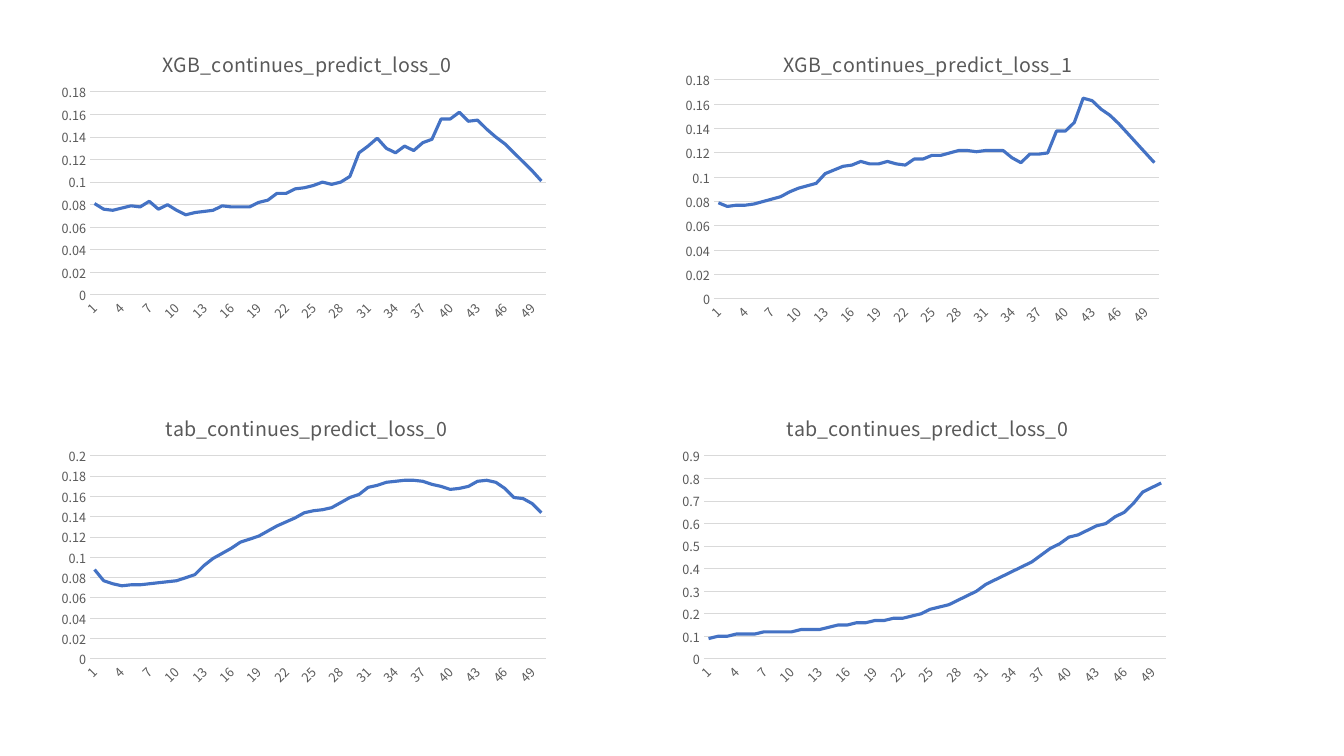
from pptx import Presentation
from pptx.chart.data import CategoryChartData
from pptx.dml.color import RGBColor
from pptx.enum.chart import XL_CHART_TYPE, XL_TICK_MARK
from pptx.oxml import parse_xml
from pptx.oxml.ns import nsdecls
from pptx.util import Pt

PIXEL = 914400 / 100.8
FONT = "Noto Sans CJK SC"
LOSS_BLUE = RGBColor(0x44, 0x72, 0xC4)
TEXT_GREY = RGBColor(0x59, 0x59, 0x59)
GRID_GREY = RGBColor(0xD9, 0xD9, 0xD9)
CHART_WIDTH, CHART_HEIGHT = 504, 302
TITLE_TOP = 19

XGB_LOSS_0 = [
    0.081, 0.076, 0.075, 0.077, 0.079, 0.078, 0.083, 0.076, 0.08, 0.075,
    0.071, 0.073, 0.074, 0.075, 0.079, 0.078, 0.078, 0.078, 0.082, 0.084,
    0.09, 0.09, 0.094, 0.095, 0.097, 0.1, 0.098, 0.1, 0.105, 0.126,
    0.132, 0.139, 0.13, 0.126, 0.132, 0.128, 0.135, 0.138, 0.156, 0.156,
    0.162, 0.154, 0.155, 0.147, 0.14, 0.134, 0.126, 0.118, 0.11, 0.101]
XGB_LOSS_1 = [
    0.079, 0.076, 0.077, 0.077, 0.078, 0.08, 0.082, 0.084, 0.088, 0.091,
    0.093, 0.095, 0.103, 0.106, 0.109, 0.11, 0.113, 0.111, 0.111, 0.113,
    0.111, 0.11, 0.115, 0.115, 0.118, 0.118, 0.12, 0.122, 0.122, 0.121,
    0.122, 0.122, 0.122, 0.116, 0.112, 0.119, 0.119, 0.12, 0.138, 0.138,
    0.145, 0.165, 0.163, 0.156, 0.151, 0.144, 0.136, 0.128, 0.12, 0.112]
TAB_LOSS_0 = [
    0.088, 0.077, 0.074, 0.072, 0.073, 0.073, 0.074, 0.075, 0.076, 0.077,
    0.08, 0.083, 0.092, 0.099, 0.104, 0.109, 0.115, 0.118, 0.121, 0.126,
    0.131, 0.135, 0.139, 0.144, 0.146, 0.147, 0.149, 0.154, 0.159, 0.162,
    0.169, 0.171, 0.174, 0.175, 0.176, 0.176, 0.175, 0.172, 0.17, 0.167,
    0.168, 0.17, 0.175, 0.176, 0.174, 0.168, 0.159, 0.158, 0.153, 0.144]
TAB_LOSS_RISING = [
    0.09, 0.1, 0.1, 0.11, 0.11, 0.11, 0.12, 0.12, 0.12, 0.12,
    0.13, 0.13, 0.13, 0.14, 0.15, 0.15, 0.16, 0.16, 0.17, 0.17,
    0.18, 0.18, 0.19, 0.2, 0.22, 0.23, 0.24, 0.26, 0.28, 0.3,
    0.33, 0.35, 0.37, 0.39, 0.41, 0.43, 0.46, 0.49, 0.51, 0.54,
    0.55, 0.57, 0.59, 0.6, 0.63, 0.65, 0.69, 0.74, 0.76, 0.78]


def px(length):
    return round(length * PIXEL)


def style_font(font, size):
    font.name, font.size, font.bold = FONT, Pt(size), False
    font.color.rgb = TEXT_GREY


def style_line(line, color, width):
    line.color.rgb = color
    line.width = Pt(width)


def manual_layout(left, top, width=None, height=None):
    """Layout in pixels from the chart corner; with a size it is the inner plot."""
    parts = [("xMode", "edge"), ("yMode", "edge"),
             ("x", left / CHART_WIDTH), ("y", top / CHART_HEIGHT)]
    if width:
        parts.insert(0, ("layoutTarget", "inner"))
        parts += [("w", width / CHART_WIDTH), ("h", height / CHART_HEIGHT)]
    body = "".join(f'<c:{tag} val="{value}"/>' for tag, value in parts)
    return parse_xml(f'<c:layout {nsdecls("c")}><c:manualLayout>{body}'
                     '</c:manualLayout></c:layout>')


def set_layout(element, layout, index):
    for previous in element.findall(layout.tag):
        element.remove(previous)
    element.insert(index, layout)


def add_loss_chart(slide, left, top, title, title_left, losses, plot, maximum, step):
    chart_data = CategoryChartData()
    chart_data.categories = [str(number) for number in range(1, len(losses) + 1)]
    chart_data.add_series("Series 1", losses)
    chart = slide.shapes.add_chart(
        XL_CHART_TYPE.LINE, px(left), px(top), px(CHART_WIDTH), px(CHART_HEIGHT),
        chart_data).chart
    chart.has_legend = False
    style_font(chart.font, 10)

    # Title
    chart.has_title = True
    heading = chart.chart_title.text_frame.paragraphs[0]
    heading.text = title
    style_font(heading.font, 14)
    set_layout(chart.chart_title._element, manual_layout(title_left, TITLE_TOP), 1)
    chart.chart_title.include_in_layout = False

    # Plot and loss curve
    set_layout(chart._chartSpace.chart.plotArea, manual_layout(*plot), 0)
    chart.plots[0].vary_by_categories = False
    curve = chart.plots[0].series[0]
    curve.smooth = False
    style_line(curve.format.line, LOSS_BLUE, 2.25)

    # Axes
    steps, loss_axis = chart.category_axis, chart.value_axis
    for axis in (steps, loss_axis):
        axis.major_tick_mark = axis.minor_tick_mark = XL_TICK_MARK.NONE
        style_font(axis.tick_labels.font, 9)
    style_line(steps.format.line, GRID_GREY, 0.75)
    steps._element.txPr.bodyPr.set("rot", "-60000000")
    loss_axis.format.line.fill.background()
    style_line(loss_axis.major_gridlines.format.line, GRID_GREY, 0.75)
    loss_axis.minimum_scale, loss_axis.maximum_scale = 0, maximum
    loss_axis.major_unit = step
    loss_axis.tick_labels.number_format = "General"
    loss_axis.tick_labels.number_format_is_linked = False


def build_loss_slide(slide, left, top):
    right, lower = left + 621, top + 364
    wide_plot = (39, 67, 456, 203)
    add_loss_chart(slide, left, top, "XGB_continues_predict_loss_0", 108,
                   XGB_LOSS_0, wide_plot, 0.18, 0.02)
    add_loss_chart(slide, right, top, "XGB_continues_predict_loss_1", 108,
                   XGB_LOSS_1, (42, 55, 445, 219), 0.18, 0.02)
    add_loss_chart(slide, left, lower, "tab_continues_predict_loss_0", 111,
                   TAB_LOSS_0, wide_plot, 0.2, 0.02)
    add_loss_chart(slide, right, lower, "tab_continues_predict_loss_0", 111,
                   TAB_LOSS_RISING, (32, 67, 462, 203), 0.9, 0.1)


presentation = Presentation()
presentation.slide_width, presentation.slide_height = px(1344), px(756)
loss_slide = presentation.slides.add_slide(presentation.slide_layouts[6])
build_loss_slide(loss_slide, 51, 25)
presentation.save("out.pptx")
